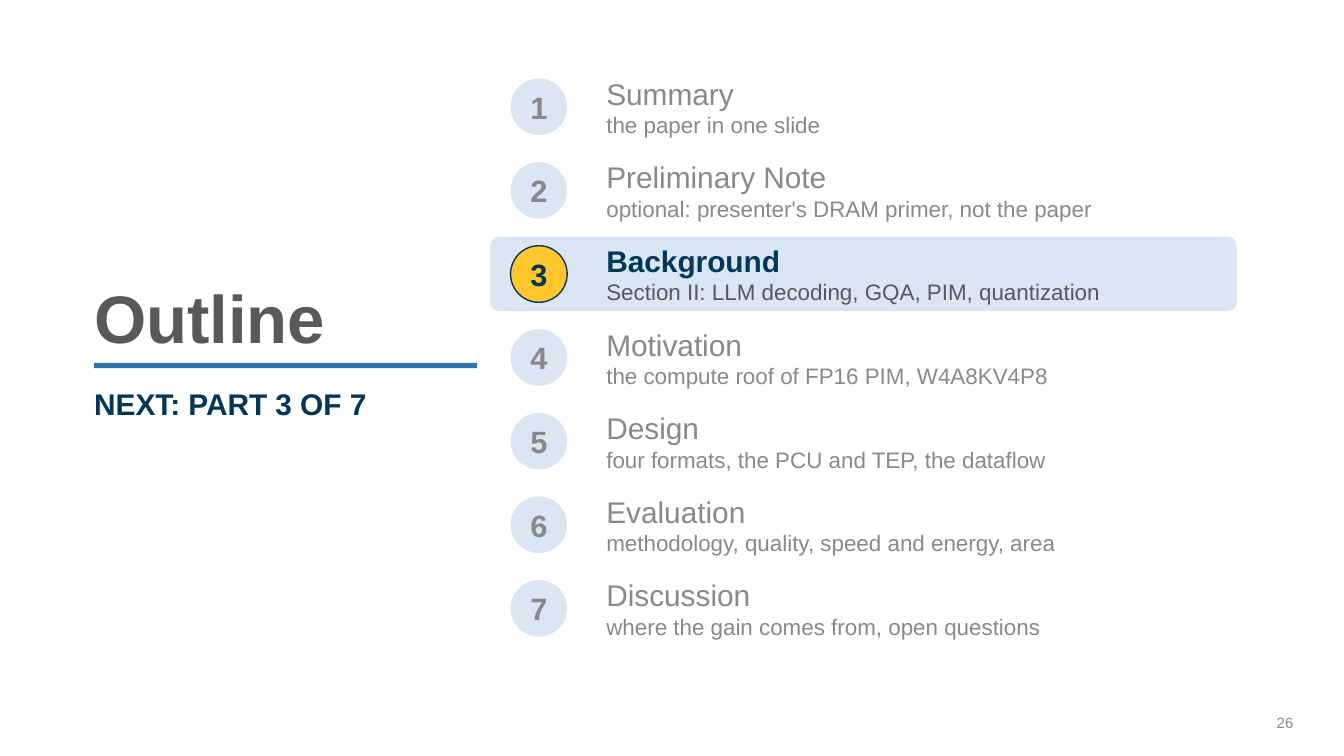
import pptx
import pptx.dml.color
import pptx.enum.shapes
import pptx.enum.text
import pptx.oxml
import pptx.oxml.ns
import pptx.util

Cm = pptx.util.Cm
Shape = pptx.enum.shapes.MSO_SHAPE
Anchor = pptx.enum.text.MSO_ANCHOR
Align = pptx.enum.text.PP_ALIGN
rgb = pptx.dml.color.RGBColor.from_string

NAVY, BLUE, PALE, GOLD = "00375B", "2C75AC", "DAE6F4", "FFC72B"
GRAY, DARK, TITLE = "898989", "57585B", "58595B"


def write(frame, text, size, color, bold=False, align=Align.LEFT,
          anchor=Anchor.TOP, line_spacing=1.0):
    """Add one paragraph to a frame without margins, reusing its empty first one."""
    frame.margin_left = frame.margin_right = frame.margin_top = frame.margin_bottom = 0
    frame.word_wrap = True
    frame.auto_size = pptx.enum.text.MSO_AUTO_SIZE.NONE
    frame.vertical_anchor = anchor
    paragraph = frame.add_paragraph() if frame.text else frame.paragraphs[0]
    paragraph.alignment = align
    paragraph.line_spacing = line_spacing
    paragraph.space_before = pptx.util.Pt(0)
    run = paragraph.add_run()
    run.text = text
    run.font.name = "Arial"
    run.font.size = pptx.util.Pt(size)
    run.font.bold = bold
    run.font.color.rgb = rgb(color)
    return paragraph


def add_filled(kind, left, top, width, height, fill, outline=None):
    shape = slide.shapes.add_shape(kind, Cm(left), Cm(top), Cm(width), Cm(height))
    shape.shadow.inherit = False
    shape.fill.solid()
    shape.fill.fore_color.rgb = rgb(fill)
    if outline:
        shape.line.color.rgb = rgb(outline)
        shape.line.width = pptx.util.Pt(0.75)
    else:
        shape.line.fill.background()
    return shape


deck = pptx.Presentation()
deck.slide_width, deck.slide_height = Cm(25.4), Cm(14.29)
slide = deck.slides.add_slide(deck.slide_layouts[1])

# Heading on the left
left, width = 1.78, 7.24
heading = slide.shapes.title
heading.left, heading.top, heading.width, heading.height = Cm(left), Cm(5.21), Cm(width), Cm(1.55)
write(heading.text_frame, "Outline", size=36, color=TITLE, bold=True,
      anchor=Anchor.BOTTOM, line_spacing=0.9)

add_filled(Shape.RECTANGLE, left, 6.86, width, 0.1, BLUE)

progress = slide.placeholders[1]
progress.left, progress.top, progress.width, progress.height = Cm(left), Cm(7.37), Cm(width), Cm(0.76)
progress_line = write(progress.text_frame, "NEXT: PART 3 OF 7", size=16, color=NAVY,
                      bold=True, line_spacing=0.9)
properties = progress_line._p.get_or_add_pPr()
properties.set("marL", "0")
properties.set("indent", "0")
properties.append(pptx.oxml.parse_xml(f'<a:buNone {pptx.oxml.ns.nsdecls("a")}/>'))

# Numbered parts on the right
parts = [
    ("Summary", "the paper in one slide"),
    ("Preliminary Note", "optional: presenter's DRAM primer, not the paper"),
    ("Background", "Section II: LLM decoding, GQA, PIM, quantization"),
    ("Motivation", "the compute roof of FP16 PIM, W4A8KV4P8"),
    ("Design", "four formats, the PCU and TEP, the dataflow"),
    ("Evaluation", "methodology, quality, speed and energy, area"),
    ("Discussion", "where the gain comes from, open questions"),
]
current = 3
first_center, pitch = 2.02, 1.58
band_height, badge_size, label_height = 1.4, 1.07, 1.19

for number, (part, detail) in enumerate(parts, start=1):
    center = first_center + (number - 1) * pitch
    active = number == current
    color = NAVY if active else GRAY
    if active:
        band = add_filled(Shape.ROUNDED_RECTANGLE, 9.27, center - band_height / 2,
                          14.1, band_height, PALE)
        band.adjustments[0] = 0.11

    badge = add_filled(Shape.OVAL, 9.65, center - badge_size / 2, badge_size, badge_size,
                       GOLD if active else PALE, NAVY if active else None)
    write(badge.text_frame, str(number), size=16.5, color=color, bold=True,
          align=Align.CENTER, anchor=Anchor.MIDDLE)

    label = slide.shapes.add_textbox(Cm(11.46), Cm(center - label_height / 2),
                                     Cm(11.79), Cm(label_height)).text_frame
    write(label, part, size=16, color=color, bold=active, anchor=Anchor.MIDDLE)
    write(label, detail, size=12, color=DARK if active else GRAY, anchor=Anchor.MIDDLE)

page_number = slide.shapes.add_textbox(Cm(24.13), Cm(13.49), Cm(1.27), Cm(0.36))
write(page_number.text_frame, "26", size=8, color=GRAY)

deck.save("out.pptx")
